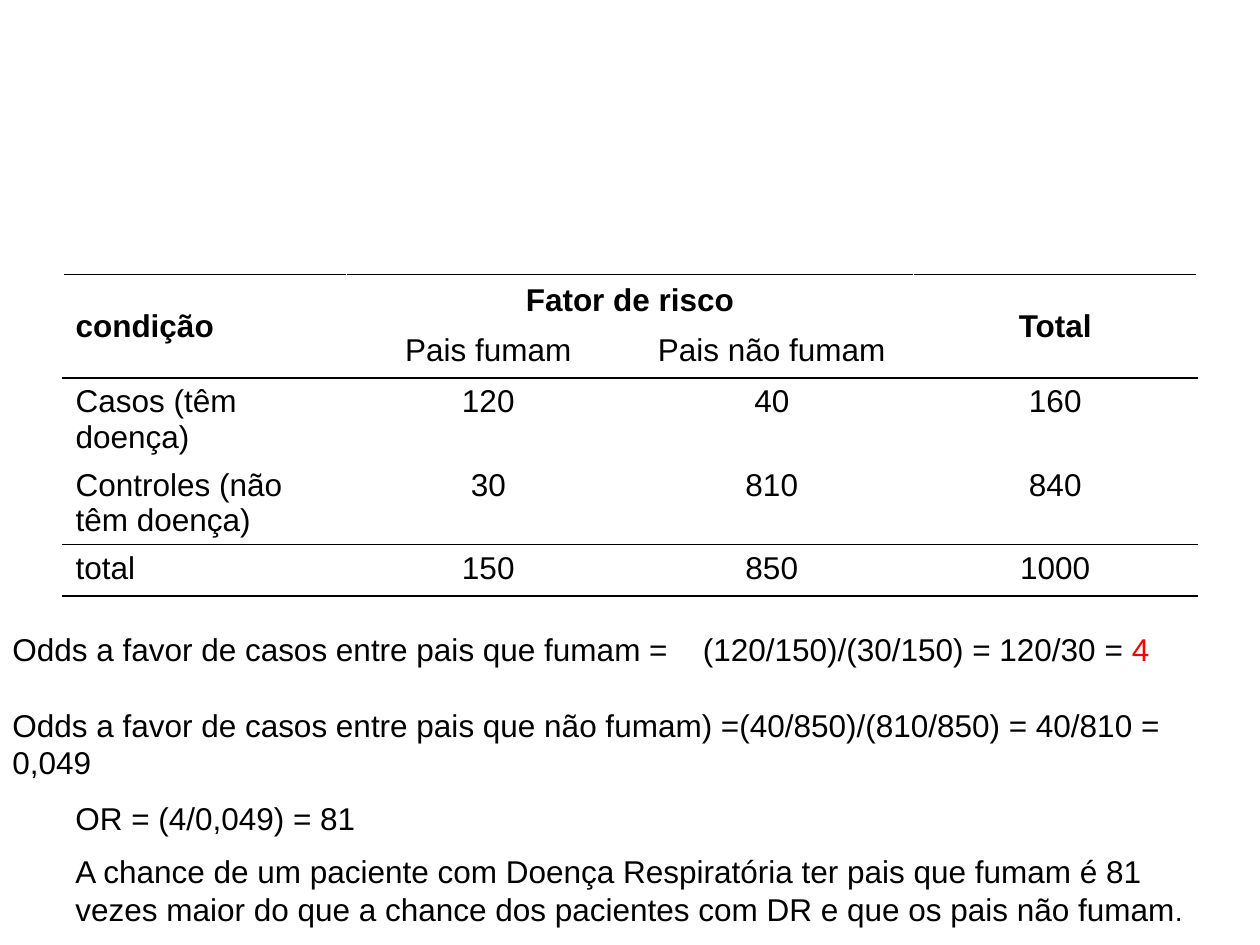
from dataclasses import dataclass

from lxml import etree
from pptx import Presentation
from pptx import util as u
from pptx.dml.color import RGBColor
from pptx.enum import text
from pptx.oxml import ns

FONT = "Arial"
BLACK, WHITE, RED = "000000", "FFFFFF", "FF0000"
COLUMN_WIDTH, ROW_HEIGHT = 2.25, 0.41


@dataclass
class Run:
    content: str
    color: str = BLACK
    size: float = 18
    bold: bool = False


@dataclass
class Line:
    runs: list[Run]
    space_before: float = 0
    tab_stop: float | None = None


@dataclass
class TextBlock:
    left: float
    top: float
    width: float
    height: float
    lines: list[Line]


HEADERS = {"condição", "Fator de risco", "Total"}
ROWS = [
    ["condição", "Fator de risco", "", "Total"],
    ["", "Pais fumam", "Pais não fumam", ""],
    ["Casos (têm doença)", "120", "40", "160"],
    ["Controles (não têm doença)", "30", "810", "840"],
    ["total", "150", "850", "1000"],
]
# First and last cell of each merged area
MERGES = [((0, 0), (1, 0)), ((0, 1), (0, 2)), ((0, 3), (1, 3))]
RULED_BELOW = {1, 3, 4}

ODDS = TextBlock(0, 4.95, 10, 1.01, [
    Line([Run("Odds a favor de casos entre pais que fumam =\t"
              "(120/150)/(30/150) = 120/30 = "), Run("4", RED)], tab_stop=5.48),
    Line([Run("Odds a favor de casos entre pais que não fumam) ="
              "(40/850)/(810/850) = 40/810 = 0,049")], space_before=21.6),
])
CONCLUSION = TextBlock(0.5, 6.29, 9, 1.16, [
    Line([Run("OR = (4/0,049) = 81")], space_before=9),
    Line([Run("A chance de um paciente com Doença Respiratória ter pais que "
              "fumam é 81 vezes maior do que a chance dos pacientes com DR e "
              "que os pais não fumam"), Run(".", size=16)], space_before=9),
])


def rgb(value: str) -> RGBColor:
    return RGBColor.from_string(value)


def add_run(paragraph, item: Run) -> None:
    run = paragraph.add_run()
    run.text = item.content
    run.font.name = FONT
    run.font.size = u.Pt(item.size)
    run.font.bold = item.bold
    run.font.color.rgb = rgb(item.color)


def add_tab_stop(paragraph, position: float) -> None:
    properties = paragraph._p.get_or_add_pPr()
    stops = etree.SubElement(properties, ns.qn("a:tabLst"))
    etree.SubElement(stops, ns.qn("a:tab"), pos=str(u.Inches(position)), algn="l")


def add_text_block(slide, block: TextBlock) -> None:
    shape = slide.shapes.add_textbox(u.Inches(block.left), u.Inches(block.top),
                                     u.Inches(block.width), u.Inches(block.height))
    frame = shape.text_frame
    frame.word_wrap = True
    for index, line in enumerate(block.lines):
        paragraph = frame.add_paragraph() if index else frame.paragraphs[0]
        paragraph.space_before = u.Pt(line.space_before)
        if line.tab_stop is not None:
            add_tab_stop(paragraph, line.tab_stop)
        for item in line.runs:
            add_run(paragraph, item)


def set_borders(cell, top: str, bottom: str) -> None:
    properties = cell._tc.get_or_add_tcPr()
    sides = {"L": WHITE, "R": WHITE, "T": top, "B": bottom}
    for position, (side, color) in enumerate(sides.items()):
        border = etree.Element(ns.qn(f"a:ln{side}"), w=str(u.Pt(1)))
        fill = etree.SubElement(border, ns.qn("a:solidFill"))
        etree.SubElement(fill, ns.qn("a:srgbClr"), val=color)
        properties.insert(position, border)


def fill_cell(cell, content: str, row: int, column: int) -> None:
    cell.fill.solid()
    cell.fill.fore_color.rgb = rgb(WHITE)
    set_borders(cell, BLACK if row == 0 or row - 1 in RULED_BELOW else WHITE,
                BLACK if row in RULED_BELOW else WHITE)
    if not content:
        return
    paragraph = cell.text_frame.paragraphs[0]
    if column:
        paragraph.alignment = text.PP_ALIGN.CENTER
    if content in HEADERS:
        cell.vertical_anchor = text.MSO_ANCHOR.MIDDLE
    add_run(paragraph, Run(content, bold=content in HEADERS))


def add_risk_table(slide) -> None:
    rows, columns = len(ROWS), len(ROWS[0])
    table = slide.shapes.add_table(
        rows, columns, u.Inches(0.5), u.Inches(2.18),
        u.Inches(columns * COLUMN_WIDTH), u.Inches(rows * ROW_HEIGHT)).table
    table.first_row = table.horz_banding = False
    for row, contents in enumerate(ROWS):
        for column, content in enumerate(contents):
            fill_cell(table.cell(row, column), content, row, column)
    for first, last in MERGES:
        table.cell(*first).merge(table.cell(*last))


def main() -> None:
    presentation = Presentation()
    presentation.slide_width = u.Inches(10)
    presentation.slide_height = u.Inches(7.5)
    slide = presentation.slides.add_slide(presentation.slide_layouts[6])

    # Case-control table
    add_risk_table(slide)

    # Odds ratio and its reading
    add_text_block(slide, CONCLUSION)
    add_text_block(slide, ODDS)

    presentation.save("out.pptx")


if __name__ == "__main__":
    main()
